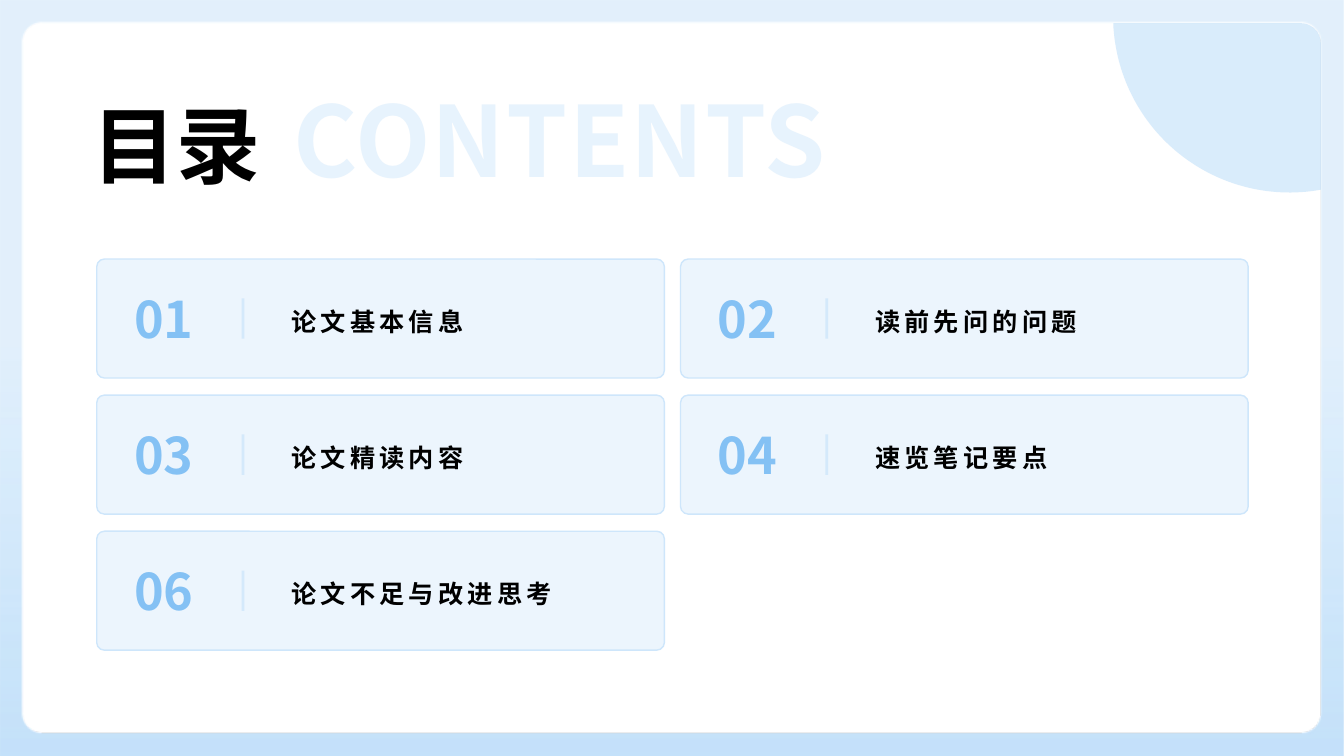
from math import cos, sin, radians
from pptx import Presentation
from pptx.dml.color import RGBColor
from pptx.enum.shapes import MSO_CONNECTOR as Link, MSO_SHAPE as Kind
from pptx.enum.text import MSO_ANCHOR as Anchor, MSO_AUTO_SIZE as Fit, PP_ALIGN as Align
from pptx.oxml.ns import qn
from pptx.oxml.xmlchemy import OxmlElement as Node
from pptx.util import Inches, Pt

# Content
TITLE, GHOST = "目录", "CONTENTS"
ITEMS = [
    ("01", "论文基本信息"),
    ("02", "读前先问的问题"),
    ("03", "论文精读内容"),
    ("04", "速览笔记要点"),
    ("06", "论文不足与改进思考"),
]

# Style
BLACK = RGBColor(0, 0, 0)
BLUE = RGBColor(0x84, 0xC1, 0xF4)
SKY = RGBColor(0xB5, 0xDA, 0xF8)
PALE = RGBColor(0xCE, 0xE6, 0xFB)
MIST = RGBColor(0xE7, 0xF3, 0xFD)
SANS, LATIN = "Noto Sans CJK SC", "Arial"

# Layout in inches
WIDE, HIGH = 13.33, 7.5
EDGE, ROUND = 0.23, 0.2
LEFT, TOP, COLS = 0.96, 2.57, 2
CARD_W, CARD_H = 5.63, 1.18
STEP_X, STEP_Y = 5.79, 1.35

deck = Presentation()
deck.slide_width, deck.slide_height = Inches(WIDE), Inches(HIGH)
slide = deck.slides.add_slide(deck.slide_layouts[5])
shapes = slide.shapes


def fade(shape, *shares):
    """Set the opacity, in percent, of the shape's colours in order."""
    for color, share in zip(shape.element.spPr.iter(qn("a:srgbClr")), shares):
        alpha = Node("a:alpha")
        alpha.set("val", str(share * 1000))
        color.append(alpha)


def arc(x, y, radius, start, end, steps=12):
    turns = [radians(start + (end - start) * i / steps) for i in range(steps + 1)]
    return [(x + radius * cos(t), y + radius * sin(t)) for t in turns]


def outline(*loops):
    loops = [[(Inches(x), Inches(y)) for x, y in loop] for loop in loops]
    pen = shapes.build_freeform(*loops[0][0])
    pen.add_line_segments(loops[0][1:])
    for loop in loops[1:]:
        pen.move_to(*loop[0])
        pen.add_line_segments(loop[1:])
    shape = pen.convert_to_shape()
    shape.shadow.inherit = False
    shape.line.fill.background()
    return shape


def write(box, text, size, color, font=SANS, align=Align.LEFT, wrap=True, gap=0):
    frame = box.text_frame
    frame.margin_left = frame.margin_right = 0
    frame.margin_top = frame.margin_bottom = 0
    frame.vertical_anchor = Anchor.MIDDLE
    frame.auto_size, frame.word_wrap = Fit.NONE, wrap
    para = frame.paragraphs[0]
    para.alignment = align
    run = para.add_run()
    run.text = text
    run.font.size, run.font.bold, run.font.name = Pt(size), True, font
    run.font.color.rgb = color
    props = run.font._element
    if gap:
        props.set("spc", str(int(gap * 100)))
    east = Node("a:ea")
    east.set("typeface", SANS)
    props.find(qn("a:latin")).addnext(east)
    return para


def area(x, y, w, h):
    return Inches(x), Inches(y), Inches(w), Inches(h)


# Gradient border around a rounded opening
near, right, low = EDGE + ROUND, WIDE - EDGE - ROUND, HIGH - EDGE - ROUND
corner = arc(right, near, ROUND, -90, 0)
hole = (corner[::-1] + arc(near, near, ROUND, 270, 180)
        + arc(near, low, ROUND, 180, 90) + arc(right, low, ROUND, 90, 0))
border = outline([(0, 0), (WIDE, 0), (WIDE, HIGH), (0, HIGH), (0, 0)],
                 hole + hole[:1])
border.fill.gradient()
border.fill.gradient_angle = 270
for stop, place in zip(border.fill.gradient_stops, (0.45, 1)):
    stop.position, stop.color.rgb = place, BLUE
fade(border, 23, 48)

# Part of a disc in the top right corner
disc = outline(corner + arc(12.79, 0.16, 1.75, 79.8, 177.7, 60) + corner[:1])
disc.fill.solid()
disc.fill.fore_color.rgb = SKY
fade(disc, 50)

# Heading
title = shapes.title
title.left, title.top, title.width, title.height = area(0.92, 0.84, 1.83, 1.18)
write(title, TITLE, 60, BLACK, LATIN)
ghost = shapes.add_textbox(*area(2.91, 0.77, 5.6, 1.2))
write(ghost, GHOST, 70, MIST, wrap=False, gap=1)

# Cards
for i, (number, label) in enumerate(ITEMS):
    row, col = divmod(i, COLS)
    x, y = LEFT + col * STEP_X, TOP + row * STEP_Y

    card = shapes.add_shape(Kind.ROUNDED_RECTANGLE, *area(x, y, CARD_W, CARD_H))
    card.adjustments[0] = 0.064
    card.shadow.inherit = False
    card.fill.solid()
    card.fill.fore_color.rgb = BLUE
    card.line.color.rgb, card.line.width = PALE, Pt(1)
    fade(card, 15)

    bar = shapes.add_connector(Link.STRAIGHT, Inches(x + 1.45), Inches(y + 0.79),
                               Inches(x + 1.45), Inches(y + 0.39))
    bar.line.color.rgb, bar.line.width = PALE, Pt(2)
    bar.element.spPr.append(Node("a:effectLst"))
    fade(bar, 80)

    text = shapes.add_textbox(*area(x + 1.93, y + 0.16, 3.53, 0.85))
    write(text, label, 18, BLACK, gap=3).line_spacing = 1.2
    count = shapes.add_textbox(*area(x + 0.16, y, 1.01, CARD_H))
    write(count, number, 36, BLUE, align=Align.CENTER, wrap=False)

deck.save("out.pptx")
